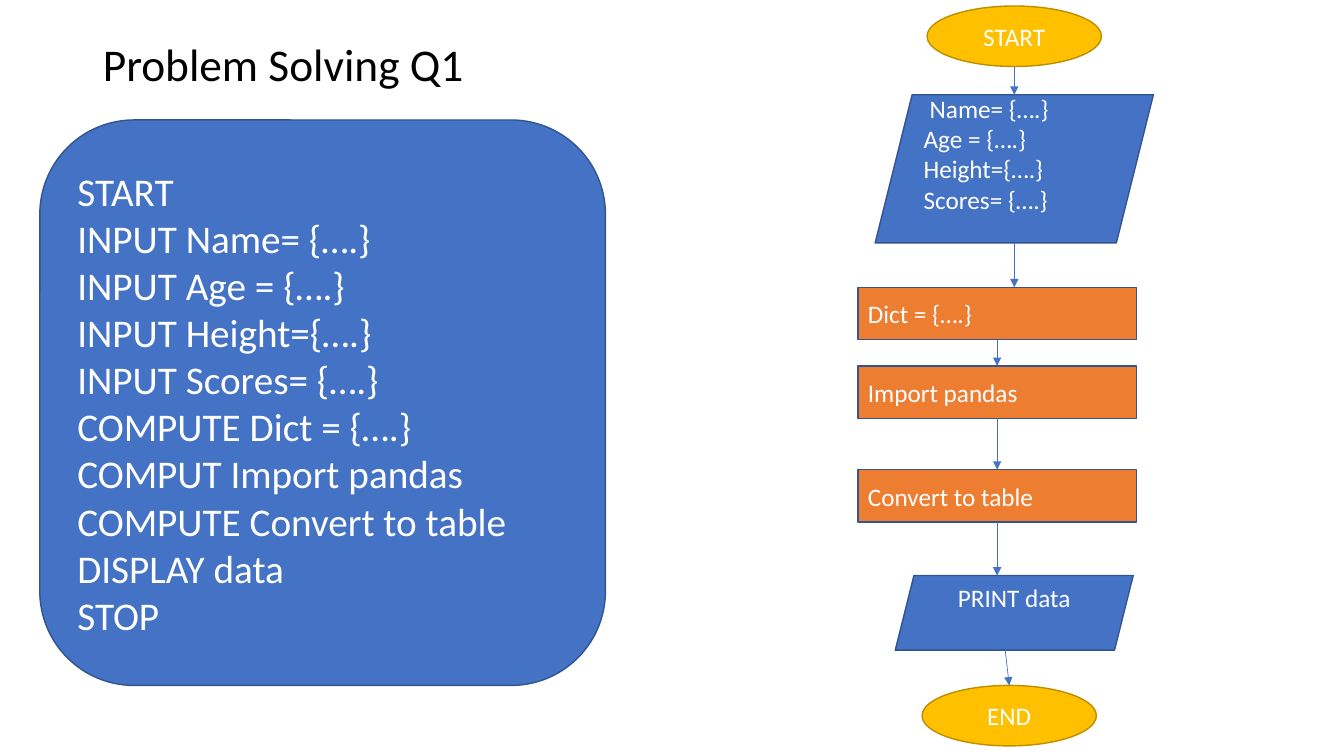
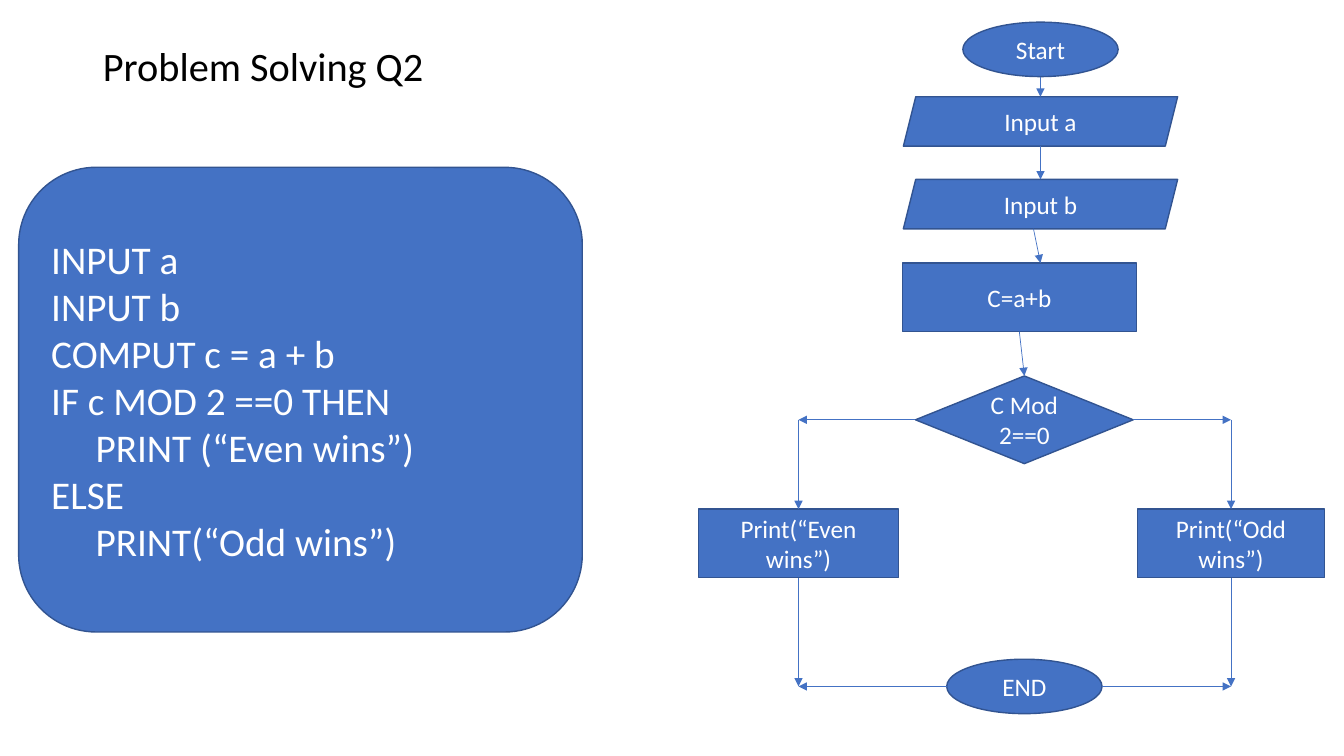
from pptx import Presentation, util as u
from pptx.dml.color import RGBColor
from pptx.enum import shapes, text
from pptx.oxml.ns import qn
from lxml import etree

# Shared style
BLUE, NAVY = RGBColor(0x44, 0x72, 0xC4), RGBColor(0x32, 0x54, 0x91)
GOLD, BRONZE = RGBColor(0xFF, 0xC0, 0x00), RGBColor(0xBD, 0x8E, 0x00)
ORANGE = RGBColor(0xED, 0x7D, 0x31)
WHITE, BLACK = RGBColor(0xFF, 0xFF, 0xFF), RGBColor(0, 0, 0)
FONT = "Calibri"
LEFT, CENTER = text.PP_ALIGN.LEFT, text.PP_ALIGN.CENTER
KIND = shapes.MSO_SHAPE
OVAL, DATA, STEP = KIND.OVAL, KIND.PARALLELOGRAM, KIND.RECTANGLE
CHOICE, PANEL = KIND.DIAMOND, KIND.ROUNDED_RECTANGLE

# Styles: fill, outline, alignment, text size, room kept free under the text
PLAIN = dict(fill=BLUE, line=NAVY, align=CENTER, size=18, below=0.05)
TERMINAL = PLAIN | dict(fill=GOLD, line=BRONZE)
ACTION = PLAIN | dict(fill=ORANGE, align=LEFT)
RAISED = PLAIN | dict(below=0.35)
CODE = PLAIN | dict(align=LEFT, size=28)

# Column axes of the two flowcharts, and box sizes
IO_X, STEP_X, END_X = 10.06, 9.89, 10.01
INPUT_X, SUM_X, TEST_X, EVEN_X, ODD_X = 10.32, 10.11, 10.16, 7.92, 12.21
TERMINAL_SIZE, ACTION_SIZE = (1.73, 0.6), (2.76, 0.52)
OVAL_SIZE, INPUT_SIZE = (1.54, 0.54), (2.72, 0.49)

# Content: a line is text, or (indent, text); a node is
# (kind, style, axis, top, size, lines); a link is (from, to, start x, end x)
Q1 = dict(
    title="Problem Solving Q1", title_size=32.4, title_height=0.52,
    nodes=dict(
        code=(PANEL, CODE, 3.2, 1.19, (5.61, 5.61), [
            "START", "INPUT Name= {….}", "INPUT Age = {….}",
            "INPUT Height={….}", "INPUT Scores= {….}",
            "COMPUTE Dict = {….}", "COMPUT Import pandas",
            "COMPUTE Convert to table", "DISPLAY data", "STOP"]),
        inputs=(DATA, RAISED | dict(align=LEFT), IO_X, 0.94, (2.76, 1.47), [
            (0.06, "Name= {….}"), "Age = {….} Height={….}",
            "Scores= {….}"]),
        output=(DATA, RAISED, IO_X, 5.71, (2.36, 0.74), ["PRINT data"]),
        start=(OVAL, TERMINAL, IO_X, 0.06, TERMINAL_SIZE, ["START"]),
        end=(OVAL, TERMINAL, END_X, 6.8, TERMINAL_SIZE, ["END"]),
        dict=(STEP, ACTION, STEP_X, 2.85, ACTION_SIZE, ["Dict = {….}"]),
        load=(STEP, ACTION, STEP_X, 3.63, ACTION_SIZE, ["Import pandas"]),
        convert=(STEP, ACTION, STEP_X, 4.66, ACTION_SIZE,
                 ["Convert to table"])),
    links=[("start", "inputs", IO_X, IO_X), ("inputs", "dict", IO_X, IO_X),
           ("dict", "load", STEP_X, STEP_X),
           ("load", "convert", STEP_X, STEP_X),
           ("convert", "output", STEP_X, STEP_X),
           ("output", "end", 9.97, END_X)],
    branches=[])

Q2 = dict(
    title="Problem Solving Q2", title_size=28.8, title_height=0.56,
    nodes=dict(
        code=(PANEL, CODE, 2.98, 1.66, (5.59, 4.61), [
            "INPUT a", "INPUT b", "COMPUT c = a + b", "IF c MOD 2 ==0 THEN",
            (0.44, "PRINT (“Even wins”)"), "ELSE",
            (0.44, "PRINT(“Odd wins”)")]),
        start=(OVAL, PLAIN, INPUT_X, 0.22, OVAL_SIZE, ["Start"]),
        a=(DATA, PLAIN, INPUT_X, 0.96, INPUT_SIZE, ["Input a"]),
        b=(DATA, PLAIN, INPUT_X, 1.78, INPUT_SIZE, ["Input b"]),
        sum=(STEP, PLAIN, SUM_X, 2.61, (2.32, 0.68), ["C=a+b"]),
        test=(CHOICE, PLAIN, TEST_X, 3.73, (2.16, 0.87), ["C Mod 2==0"]),
        even=(STEP, PLAIN, EVEN_X, 5.05, (1.98, 0.68),
              ["Print(“Even wins”)"]),
        odd=(STEP, PLAIN, ODD_X, 5.05, (1.86, 0.68), ["Print(“Odd wins”)"]),
        end=(OVAL, PLAIN, TEST_X, 6.54, OVAL_SIZE, ["END"])),
    links=[("start", "a", INPUT_X, INPUT_X), ("a", "b", INPUT_X, INPUT_X),
           ("b", "sum", 10.25, INPUT_X), ("sum", "test", SUM_X, TEST_X)],
    branches=["even", "odd"])


def write(p, words, size, color, align):
    r = p.add_run()
    r.text = words
    p.alignment = align
    for name, value in dict(name=FONT, size=u.Pt(size)).items():
        setattr(r.font, name, value)
    r.font.color.rgb = color


def add_title(s, flow):
    sp = s.shapes.title
    frame = dict(left=0.92, top=0.4, width=11.5, height=flow["title_height"])
    for name, value in frame.items():
        setattr(sp, name, u.Inches(value))
    tf = sp.text_frame
    tf.auto_size = text.MSO_AUTO_SIZE.NONE
    tf.vertical_anchor = text.MSO_ANCHOR.MIDDLE
    tf.paragraphs[0].line_spacing = 0.9
    write(tf.paragraphs[0], flow["title"], flow["title_size"], BLACK, LEFT)


def add_node(s, kind, style, axis, top, size, lines):
    width, height = size
    sp = s.shapes.add_shape(kind, *map(u.Inches, (axis - width / 2, top,
                                                  width, height)))
    sp.shadow.inherit = False
    sp.fill.solid()
    sp.fill.fore_color.rgb = style["fill"]
    sp.line.color.rgb = style["line"]
    sp.line.width = u.Pt(1)
    tf = sp.text_frame
    settings = dict(word_wrap=True, vertical_anchor=text.MSO_ANCHOR.MIDDLE,
                    margin_bottom=u.Inches(style["below"]))
    for name, value in settings.items():
        setattr(tf, name, value)
    for i, line in enumerate(lines):
        indent, words = line if isinstance(line, tuple) else (0, line)
        p = tf.add_paragraph() if i else tf.paragraphs[0]
        write(p, words, style["size"], WHITE, style["align"])
        if indent:
            p._p.get_or_add_pPr().set("marL", str(u.Inches(indent)))


def add_arrow(s, x1, y1, x2, y2):
    line = s.shapes.add_connector(shapes.MSO_CONNECTOR.STRAIGHT,
                                  *map(u.Inches, (x1, y1, x2, y2)))
    line.line.color.rgb = BLUE
    line.line.width = u.Pt(0.5)
    etree.SubElement(line.line._get_or_add_ln(), qn("a:tailEnd"),
                     type="triangle")
    etree.SubElement(line._element.spPr, qn("a:effectLst"))


def edges(node):
    """Axis, half width, top, middle and bottom of a node."""
    _, _, axis, top, (width, height), _ = node
    return axis, width / 2, top, top + height / 2, top + height


def add_branch(s, nodes, outcome):
    x, _, top, _, bottom = edges(nodes[outcome])
    for name, y_from, y_to in (("test", None, top), ("end", bottom, None)):
        axis, half, _, middle, _ = edges(nodes[name])
        side = axis + (half if x > axis else -half)
        add_arrow(s, side, middle, x, middle)
        add_arrow(s, x, y_from or middle, x, y_to or middle)


# Build the slides
prs = Presentation()
prs.slide_width, prs.slide_height = u.Inches(13.33), u.Inches(7.5)
for flow in (Q1, Q2):
    s = prs.slides.add_slide(prs.slide_layouts[5])
    nodes = flow["nodes"]
    add_title(s, flow)
    for node in nodes.values():
        add_node(s, *node)
    for source, target, x1, x2 in flow["links"]:
        add_arrow(s, x1, edges(nodes[source])[4], x2, edges(nodes[target])[2])
    for outcome in flow["branches"]:
        add_branch(s, nodes, outcome)
prs.save("out.pptx")
